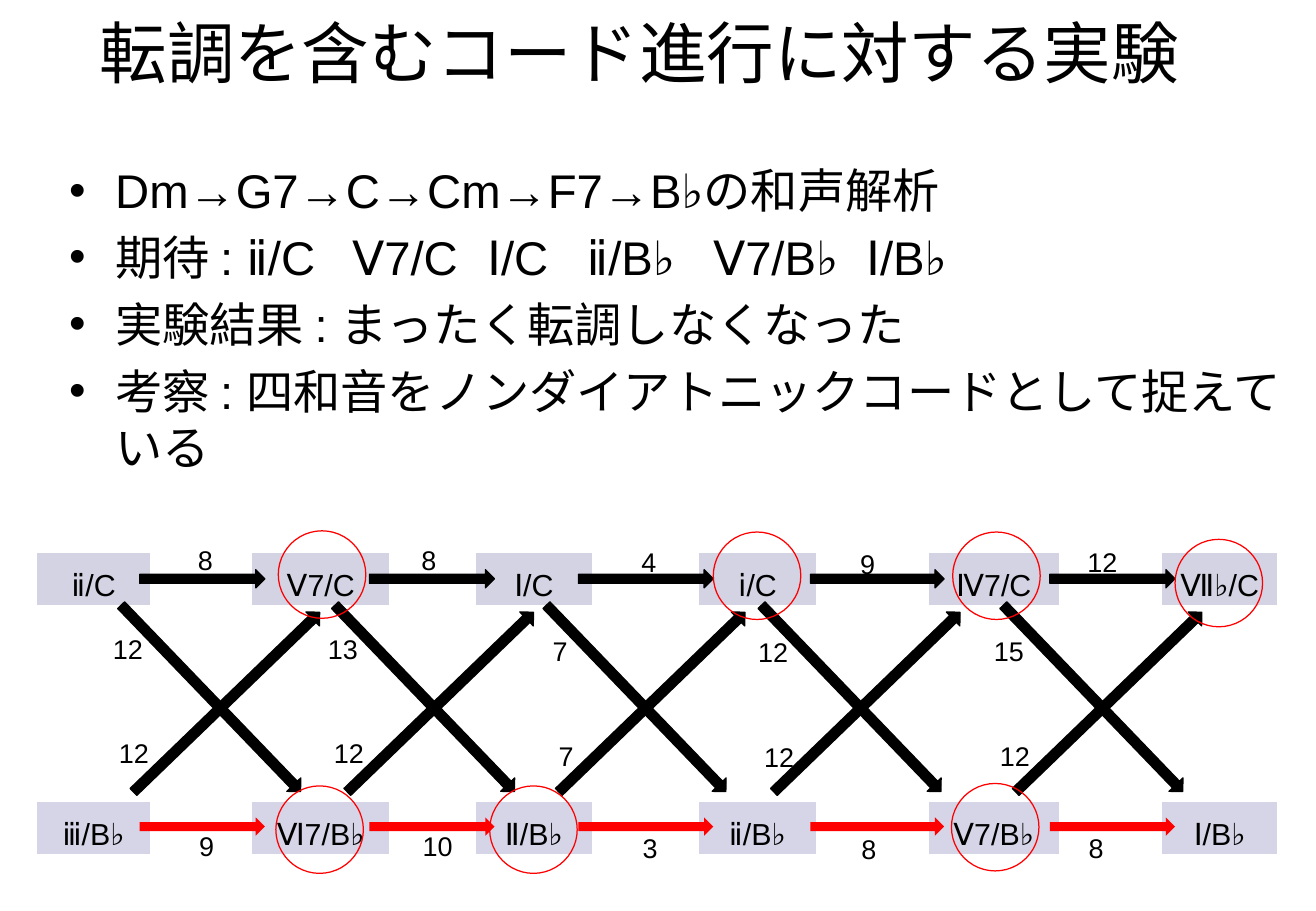
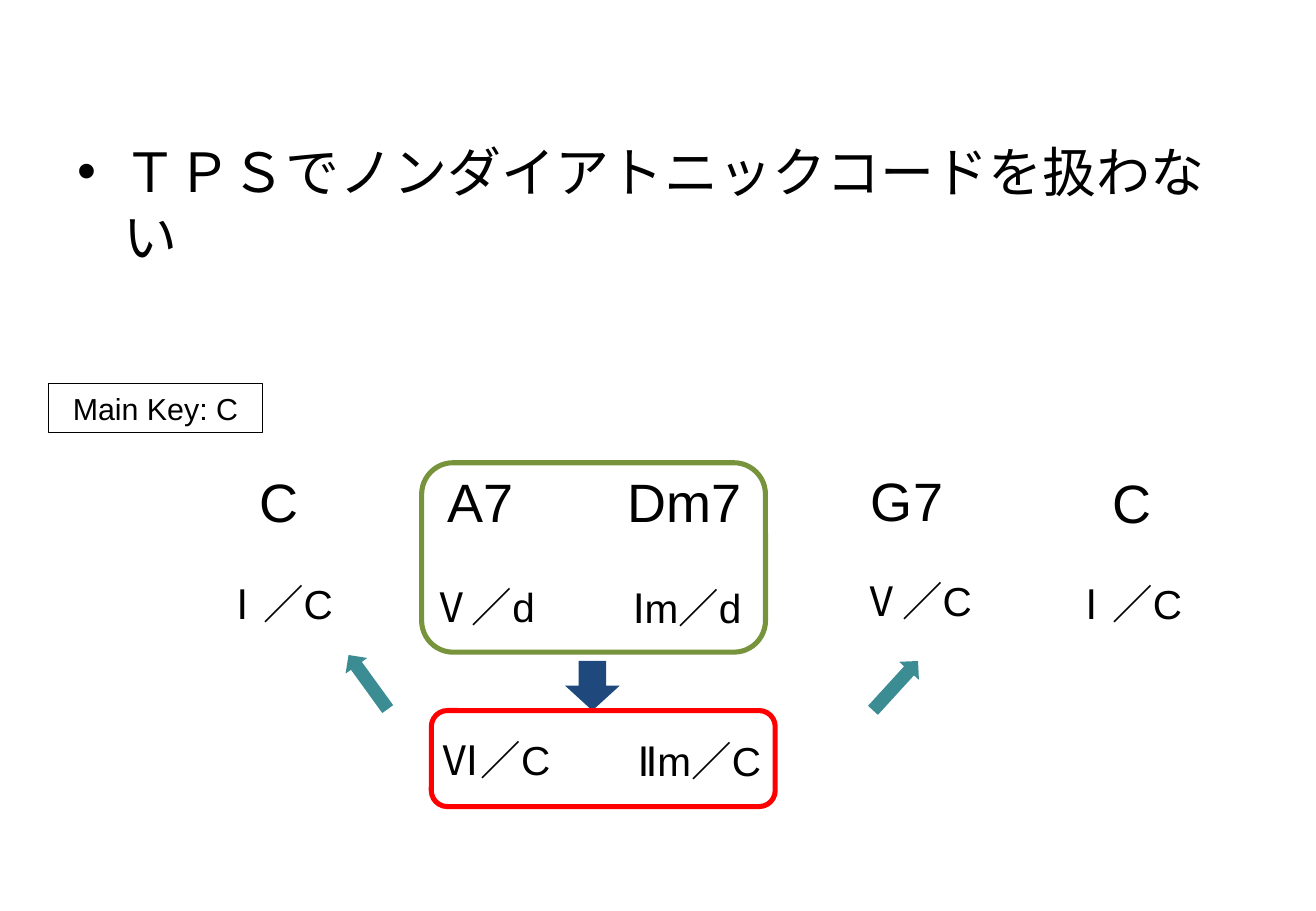
"""Build two slides on harmonic analysis of chord progressions with modulation."""

from dataclasses import dataclass
from typing import Any

from lxml import etree
from pptx import Presentation
from pptx.dml.color import RGBColor
from pptx.enum.shapes import MSO_SHAPE
from pptx.enum.text import MSO_ANCHOR, PP_ALIGN
from pptx.oxml.ns import qn
from pptx.util import Emu, Pt

EMU_PER_PX = 9144
LEFT, CENTER = PP_ALIGN.LEFT, PP_ALIGN.CENTER
MIDDLE = MSO_ANCHOR.MIDDLE
RECT, ROUND_RECT, OVAL = MSO_SHAPE.RECTANGLE, MSO_SHAPE.ROUNDED_RECTANGLE, MSO_SHAPE.OVAL
RIGHT_ARROW, UP_ARROW, DOWN_ARROW = MSO_SHAPE.RIGHT_ARROW, MSO_SHAPE.UP_ARROW, MSO_SHAPE.DOWN_ARROW
BODY_FONT, TITLE_FONT = "Arial", "Noto Sans CJK JP"
COLORS = {
    "text": "000000",
    "paper": "FFFFFF",
    "highlight": "FF0000",
    "c_lane": "262673",
    "b_flat_lane": "2D2D8A",
    "key_area": "77933C",
    "reinterpret": "1F497D",
    "resolve": "3C8C93",
}
LANE_ALPHA = 20000
CIRCLE = 72
ARROW_H = 15
CROSS_W, CROSS_H = 213, 16


@dataclass(frozen=True)
class Step:
    """One transition between neighbouring chords, with its four costs."""

    arrow_x: int
    arrow_w: int
    cross_x: int
    edge_label_x: int
    cross_label_x: int
    label_y: int
    stay_c: str
    stay_b_flat: str
    c_to_b_flat: str
    b_flat_to_c: str


@dataclass(frozen=True)
class Label:
    """A centred caption and its box."""

    text: str
    x: int
    y: int
    w: int
    h: int
    size: int


STEPS = (
    Step(115, 103, 67, 153, 83, 432, "8", "9", "12", "12"),
    Step(304, 103, 243, 337, 260, 432, "8", "10", "13", "12"),
    Step(476, 111, 417, 518, 445, 434, "4", "3", "7", "7"),
    Step(667, 110, 594, 698, 614, 435, "9", "8", "12", "12"),
    Step(864, 103, 793, 885, 808, 434, "12", "8", "15", "12"),
)
CHORD_LANES = {
    0: ("c_lane", ("ⅱ/C", "Ⅴ7/C", "Ⅰ/C", "ⅰ/C", "Ⅳ7/C", "Ⅶ♭/C")),
    3: ("b_flat_lane", ("ⅲ/B♭", "Ⅵ7/B♭", "Ⅱ/B♭", "ⅱ/B♭", "Ⅴ7/B♭", "Ⅰ/B♭")),
}
COLUMN_WIDTHS = (94, 83, 114, 70, 97, 87, 97, 92, 108, 84, 96)
ROW_HEIGHTS = (44, 70, 91, 44)
CHOSEN_CHORDS = ((229, 437), (227, 647), (403, 647), (587, 438), (784, 438), (783, 645), (967, 444))
FINDINGS = (
    "Dm→G7→C→Cm→F7→B♭の和声解析",
    "期待 : ⅱ/C\tⅤ7/C\tⅠ/C\tⅱ/B♭\tⅤ7/B♭\tⅠ/B♭",
    "実験結果 : まったく転調しなくなった",
    "考察 : 四和音をノンダイアトニックコードとして捉えている",
)
EXPECTED_TABS = (233, 344, 426, 530, 656)
PROGRESSION = (
    Label("C", 181, 381, 97, 64, 32),
    Label("A7", 347, 381, 97, 64, 32),
    Label("Dm7", 488, 381, 151, 64, 32),
    Label("G7", 698, 380, 97, 64, 32),
    Label("C", 883, 382, 97, 64, 32),
    Label("Ⅰ／C", 134, 472, 189, 50, 24),
    Label("Ⅴ／d", 303, 474, 189, 50, 24),
    Label("Ⅰm／d", 471, 475, 189, 50, 24),
    Label("Ⅴ／C", 660, 469, 189, 50, 24),
    Label("Ⅰ／C", 833, 472, 189, 50, 24),
    Label("Ⅵ／C", 313, 600, 189, 50, 24),
    Label("Ⅱm／C", 481, 601, 189, 50, 24),
)


def px(value: int) -> Emu:
    """Turn px into EMU."""
    return Emu(value * EMU_PER_PX)


def rgb(name: str) -> RGBColor:
    """Look up a named colour."""
    return RGBColor.from_string(COLORS[name])


def write(frame: Any, text: str, *, size: int, font: str = BODY_FONT, align: Any = CENTER,
          spacing: float | None = None, before: int = 0, bullet: bool = False,
          tabs: tuple[int, ...] = (), wrap: bool = True, new: bool = False) -> None:
    """Write one formatted paragraph into a text frame."""
    frame.word_wrap = wrap
    paragraph = frame.add_paragraph() if new else frame.paragraphs[0]
    paragraph.alignment = align
    paragraph.line_spacing = spacing
    if before:
        paragraph.space_before = Pt(before)
    properties = paragraph._p.get_or_add_pPr()
    if bullet:
        properties.set("marL", str(px(38)))
        properties.set("indent", str(px(-38)))
        etree.SubElement(properties, qn("a:buFont"), typeface=BODY_FONT)
        etree.SubElement(properties, qn("a:buChar"), char="•")
    if tabs:
        stops = etree.SubElement(properties, qn("a:tabLst"))
        for stop in tabs:
            etree.SubElement(stops, qn("a:tab"), pos=str(px(stop)), algn="l")
    run = paragraph.add_run()
    run.text = text
    run.font.size = Pt(size)
    run.font.name = font
    run.font.color.rgb = rgb("text")


def add_frame(slide: Any, x: int, y: int, w: int, h: int) -> Any:
    """Add a text box and return its frame."""
    return slide.shapes.add_textbox(px(x), px(y), px(w), px(h)).text_frame


def draw(slide: Any, preset: Any, x: int, y: int, w: int, h: int, *, fill: str | None = None,
         line: str | None = None, weight: float = 0.75, rotation: float = 0) -> Any:
    """Draw a preset shape with optional fill and outline."""
    shape = slide.shapes.add_shape(preset, px(x), px(y), px(w), px(h))
    shape.shadow.inherit = False
    shape.rotation = rotation
    if fill:
        shape.fill.solid()
        shape.fill.fore_color.rgb = rgb(fill)
    else:
        shape.fill.background()
    if line:
        shape.line.color.rgb = rgb(line)
        shape.line.width = Pt(weight)
    else:
        shape.line.fill.background()
    return shape


def add_chord_table(slide: Any) -> None:
    """Lay out the chord candidates of both keys in a table."""
    table = slide.shapes.add_table(len(ROW_HEIGHTS), len(COLUMN_WIDTHS), px(30), px(455),
                                   px(sum(COLUMN_WIDTHS)), px(sum(ROW_HEIGHTS))).table
    table.first_row = table.horz_banding = False
    for column, width in zip(table.columns, COLUMN_WIDTHS):
        column.width = px(width)
    for row, height in zip(table.rows, ROW_HEIGHTS):
        row.height = px(height)
    for cell in table.iter_cells():
        cell.fill.solid()
        cell.fill.fore_color.rgb = rgb("paper")
    for row_index, (tint, chords) in CHORD_LANES.items():
        for position, chord in enumerate(chords):
            cell = table.cell(row_index, 2 * position)
            cell.margin_left = cell.margin_right = cell.margin_top = cell.margin_bottom = 0
            cell.vertical_anchor = MIDDLE
            cell.fill.fore_color.rgb = rgb(tint)
            color = cell._tc.tcPr.find(f".//{qn('a:srgbClr')}")
            etree.SubElement(color, qn("a:alpha"), val=str(LANE_ALPHA))
            write(cell.text_frame, chord, size=18, spacing=1.4)


def add_cost(slide: Any, cost: str, x: int, y: int) -> None:
    """Add the cost of one transition."""
    frame = add_frame(slide, x, y, 21 + 12 * len(cost), 46)
    write(frame, cost, size=16, align=LEFT, spacing=1.4, wrap=False)


def add_step(slide: Any, step: Step) -> None:
    """Draw the four arrows of a transition and their costs."""
    draw(slide, RIGHT_ARROW, step.arrow_x, 469, step.arrow_w, ARROW_H, fill="text", line="text")
    draw(slide, RIGHT_ARROW, step.arrow_x, 673, step.arrow_w, ARROW_H, fill="highlight")
    for shift, y, angle in ((0, 567, 46.1), (13, 570, 316)):
        draw(slide, RIGHT_ARROW, step.cross_x + shift, y, CROSS_W, CROSS_H,
             fill="text", line="text", rotation=angle)
    add_cost(slide, step.stay_c, step.edge_label_x, step.label_y)
    add_cost(slide, step.stay_b_flat, step.edge_label_x + 1, step.label_y + 235)
    add_cost(slide, step.c_to_b_flat, step.cross_label_x, step.label_y + 73)
    add_cost(slide, step.b_flat_to_c, step.cross_label_x + 5, step.label_y + 159)


def build_experiment(slide: Any) -> None:
    """Build the slide on the modulation experiment."""
    title = add_frame(slide, 30, 21, 992, 43)
    title.margin_left = title.margin_right = title.margin_top = title.margin_bottom = 0
    title.vertical_anchor = MIDDLE
    write(title, "転調を含むコード進行に対する実験", size=40, font=TITLE_FONT)
    body = add_frame(slide, 47, 128, 1050, 606)
    for index, finding in enumerate(FINDINGS):
        write(body, finding, size=28, align=LEFT, bullet=True, before=6 if index else 0,
              tabs=EXPECTED_TABS if "\t" in finding else (), new=index > 0)
    add_chord_table(slide)
    for step in STEPS:
        add_step(slide, step)
    for x, y in CHOSEN_CHORDS:
        draw(slide, OVAL, x, y, CIRCLE, CIRCLE, line="highlight")


def build_reinterpretation(slide: Any) -> None:
    """Build the slide on reading non-diatonic chords in the main key."""
    write(add_frame(slide, 54, 109, 975, 495), "ＴＰＳでノンダイアトニックコードを扱わない",
          size=32, align=LEFT, bullet=True)
    for label in PROGRESSION:
        write(add_frame(slide, label.x, label.y, label.w, label.h), label.text, size=label.size)
    main_key = draw(slide, RECT, 40, 316, 176, 40, line="text")
    write(main_key.text_frame, "Main Key: C", size=18)
    draw(slide, DOWN_ARROW, 465, 544, 45, 41, fill="reinterpret")
    draw(slide, ROUND_RECT, 347, 381, 283, 156, line="key_area", weight=3)
    draw(slide, ROUND_RECT, 355, 585, 283, 79, line="highlight", weight=3)
    draw(slide, UP_ARROW, 292, 534, 22, 55, fill="resolve", rotation=324.1)
    draw(slide, UP_ARROW, 726, 537, 22, 55, fill="resolve", rotation=42.4)


def main() -> None:
    """Create the presentation and save it."""
    presentation = Presentation()
    presentation.slide_width, presentation.slide_height = px(1083), px(750)
    blank = presentation.slide_layouts[6]
    for build in (build_experiment, build_reinterpretation):
        build(presentation.slides.add_slide(blank))
    presentation.save("out.pptx")


if __name__ == "__main__":
    main()
